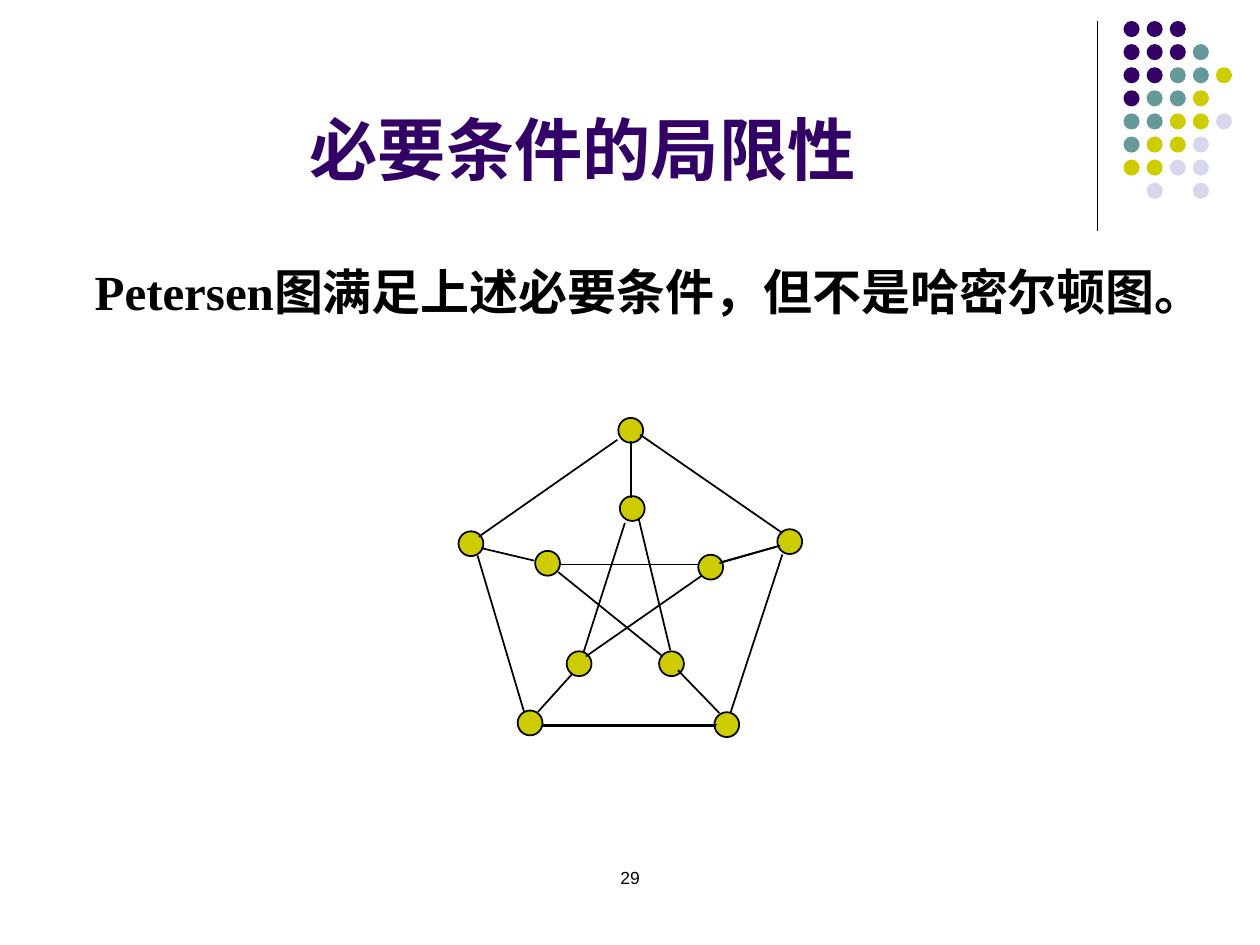
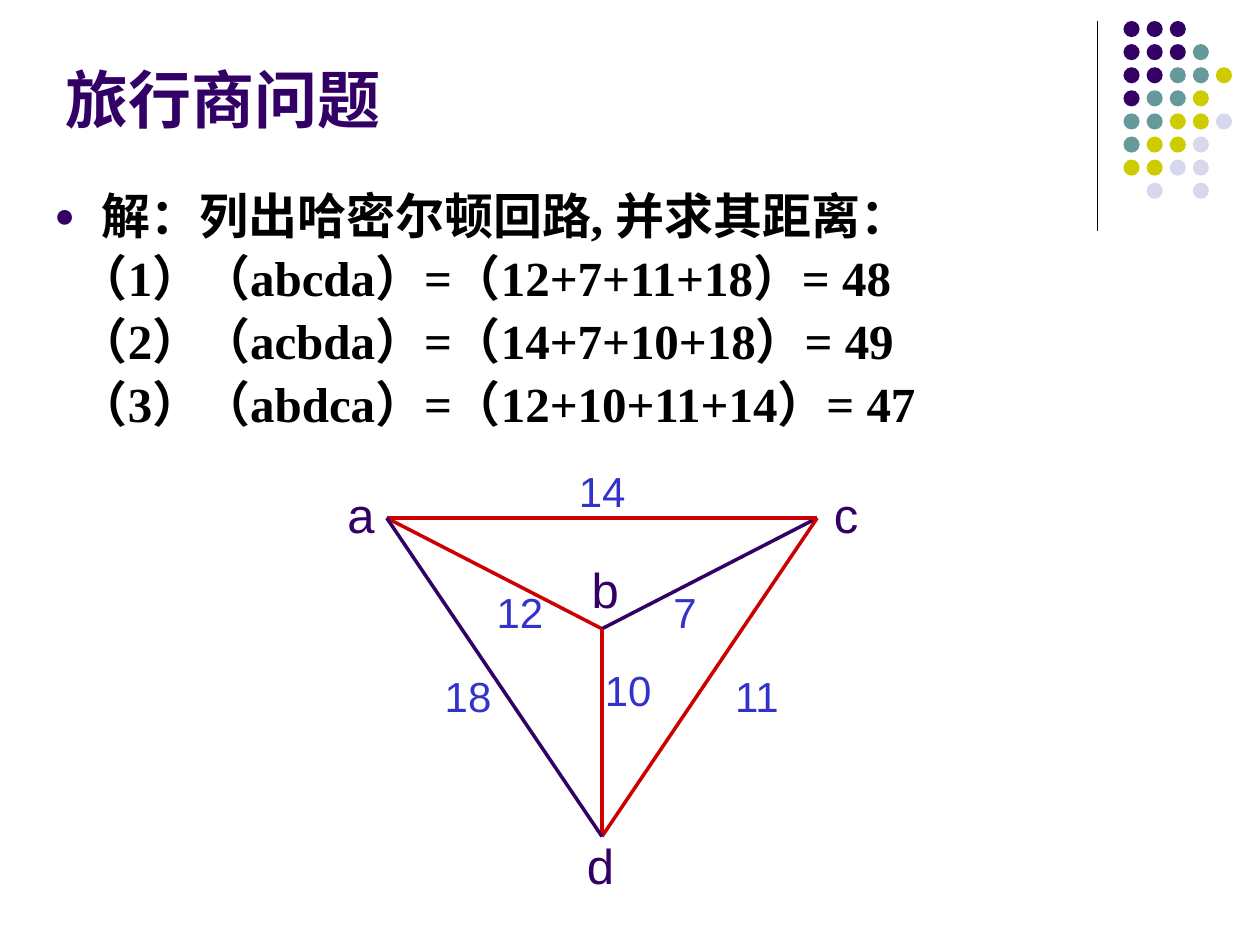
"""Build two graph theory slides: the Petersen graph and the travelling salesman problem."""
import lxml.etree
import pptx
import pptx.dml.color
import pptx.enum.shapes
import pptx.enum.text
import pptx.oxml
import pptx.oxml.ns
import pptx.util

Pt = pptx.util.Pt
RGBColor = pptx.dml.color.RGBColor
MSO_SHAPE = pptx.enum.shapes.MSO_SHAPE
ALIGN = pptx.enum.text.PP_ALIGN
ANCHOR = pptx.enum.text.MSO_ANCHOR
qn = pptx.oxml.ns.qn

COLORS = {
    "purple": "330066",
    "teal": "669999",
    "olive": "CCCC00",
    "lavender": "D8D8EC",
    "black": "000000",
    "red": "CC0000",
    "blue": "3333CC",
}


def add_line(slide, begin, end, color, width):
    line = slide.shapes.add_connector(
        pptx.enum.shapes.MSO_CONNECTOR.STRAIGHT,
        Pt(begin[0]), Pt(begin[1]), Pt(end[0]), Pt(end[1]),
    )
    line.line.color.rgb = RGBColor.from_string(COLORS[color])
    line.line.width = Pt(width)
    lxml.etree.SubElement(line.element.spPr, qn("a:effectLst"))
    return line


def format_text(text_frame, font, size, color, bold=False, align=None):
    text_frame.word_wrap = True
    text_frame.auto_size = pptx.enum.text.MSO_AUTO_SIZE.NONE
    for paragraph in text_frame.paragraphs:
        paragraph.alignment = align
        for run in paragraph.runs:
            run.font.name = font
            run.font.size = Pt(size)
            run.font.bold = bold
            run.font.color.rgb = RGBColor.from_string(COLORS[color])


presentation = pptx.Presentation()
presentation.slide_width, presentation.slide_height = Pt(720), Pt(540)
layout = presentation.slide_layouts[5]
for placeholder in list(layout.placeholders):
    if placeholder.placeholder_format.idx >= 10:
        layout.shapes.element.remove(placeholder.element)

petersen_slide = presentation.slides.add_slide(layout)
salesman_slide = presentation.slides.add_slide(layout)

DOT_COLORS = {"P": "purple", "T": "teal", "Y": "olive", "L": "lavender"}
DOT_ROWS = ["PPP", "PPPT", "PPTTY", "PTTY", "TTYYL", "TYYL", "YYLL", " L L"]
decorations = [add_line(petersen_slide, (627, 12), (627, 132), "black", 0.75)]
for row, letters in enumerate(DOT_ROWS):
    for column, letter in enumerate(letters):
        if letter == " ":
            continue
        dot = petersen_slide.shapes.add_shape(
            MSO_SHAPE.OVAL, Pt(642 + 13.2 * column), Pt(12 + 13.2 * row), Pt(9.2), Pt(9.2)
        )
        dot.shadow.inherit = False
        dot.fill.solid()
        dot.fill.fore_color.rgb = RGBColor.from_string(COLORS[DOT_COLORS[letter]])
        dot.line.fill.background()
        decorations.append(dot)
for decoration in decorations:
    layout.shapes.element.append(decoration.element)

TITLES = [
    (petersen_slide, "必要条件的局限性", (36, 9.5, 594, 102), 39, ALIGN.CENTER),
    (salesman_slide, "旅行商问题", (30, 36, 648, 45.5), 36, ALIGN.LEFT),
]
for slide, text, box, size, align in TITLES:
    title = slide.shapes.title
    title.left, title.top, title.width, title.height = map(Pt, box)
    title.text_frame.text = text
    title.text_frame.vertical_anchor = ANCHOR.BOTTOM
    format_text(title.text_frame, "Arial", size, "purple", True, align)

statement = petersen_slide.shapes.add_textbox(Pt(20), Pt(146), Pt(686), Pt(58))
statement.text_frame.text = "Petersen图满足上述必要条件，但不是哈密尔顿图。"
format_text(statement.text_frame, "Times New Roman", 28, "black", True)
paragraph = statement.text_frame.paragraphs[0]
paragraph.space_before = Pt(5.6)
paragraph._p.get_or_add_pPr().set("marL", str(Pt(27)))

NODE_SIZE = 14.2
NODE_POSITIONS = [
    (353.3, 238.8), (444.2, 302.4), (262, 303.6), (295.8, 406), (408.2, 407),
    (354.2, 283.5), (305.8, 314.8), (323.8, 372.2), (376.6, 372.2), (399, 317),
]
for left, top in NODE_POSITIONS:
    node = petersen_slide.shapes.add_shape(
        MSO_SHAPE.OVAL, Pt(left), Pt(top), Pt(NODE_SIZE), Pt(NODE_SIZE)
    )
    node.shadow.inherit = False
    node.fill.solid()
    node.fill.fore_color.rgb = RGBColor.from_string(COLORS["olive"])
    node.line.color.rgb = RGBColor.from_string(COLORS["black"])
    node.line.width = Pt(1)

OUTER_EDGES = [
    ((273.6, 306.7), (352.8, 251.3)),
    ((365.8, 248.4), (447.1, 304.6)),
    ((272.9, 317.5), (299.5, 406.8)),
    ((309.6, 414.7), (409, 414.7)),
    ((310.3, 414), (409.7, 414)),
    ((447.1, 316.8), (417.6, 406.8)),
]
STAR_EDGES = [
    ((319.7, 322.6), (398.9, 322.6)),
    ((357.1, 298.8), (333.4, 373)),
    ((365, 296.6), (383, 371.5)),
    ((334.8, 375.1), (401, 329)),
    ((319, 326.9), (378.7, 375.1)),
]
SPOKES = [
    ((360.7, 252), (360.7, 284.4)),
    ((275, 313.2), (305.3, 320.4)),
    ((411.1, 321.8), (443.5, 312.5)),
    ((412.6, 321.1), (445.7, 311.8)),
    ((326.9, 385.2), (307.4, 406.8)),
    ((387.4, 383), (411.1, 407.5)),
]
for begin, end in OUTER_EDGES + STAR_EDGES + SPOKES:
    add_line(petersen_slide, begin, end, "black", 1)

page_number = petersen_slide.shapes.add_textbox(Pt(276), Pt(492), Pt(168), Pt(36))
page_number.text_frame.text = "29"
format_text(page_number.text_frame, "Arial", 10, "black", align=ALIGN.CENTER)

solution = salesman_slide.shapes.add_textbox(Pt(24), Pt(96), Pt(684), Pt(162))
solution.text_frame.text = "\n".join([
    "解：列出哈密尔顿回路, 并求其距离：",
    "（1）（abcda）=（12+7+11+18）= 48",
    "（2）（acbda）=（14+7+10+18）= 49",
    "（3）（abdca）=（12+10+11+14）= 47",
])
format_text(solution.text_frame, "Times New Roman", 28, "black", True, ALIGN.JUSTIFY)
heading, *circuits = solution.text_frame.paragraphs
heading.alignment = ALIGN.LEFT
heading.line_spacing = 1.2
heading.space_before = Pt(5.6)
heading_properties = heading._p.get_or_add_pPr()
heading_properties.set("marL", str(Pt(27)))
heading_properties.set("indent", str(Pt(-27)))
bullet_color = lxml.etree.SubElement(heading_properties, qn("a:buClr"))
lxml.etree.SubElement(bullet_color, qn("a:srgbClr"), val=COLORS["purple"])
lxml.etree.SubElement(heading_properties, qn("a:buSzPct"), val="70000")
lxml.etree.SubElement(heading_properties, qn("a:buFont"), typeface="Arial")
lxml.etree.SubElement(heading_properties, qn("a:buChar"), char="●")
for paragraph in circuits:
    paragraph.line_spacing = 0.9
    paragraph.space_before = Pt(5.6)
    paragraph._p.get_or_add_pPr().set("marL", str(Pt(14)))

CITIES = {"a": (221, 296), "b": (344, 359.3), "c": (467, 296), "d": (344, 478)}
ROADS = [
    ("ab", "red"), ("bc", "purple"), ("db", "red"),
    ("ac", "red"), ("dc", "red"), ("da", "purple"),
]
for (start, finish), color in ROADS:
    add_line(salesman_slide, CITIES[start], CITIES[finish], color, 2)

CITY_LABELS = [("a", 185.8, 277.2), ("b", 325.4, 320.4), ("c", 463, 277.2), ("d", 322.6, 478)]
DISTANCE_LABELS = [
    ("18", 244, 381.6), ("14", 320.6, 264.2), ("11", 409, 381.6),
    ("10", 335.5, 378), ("12", 273.6, 333.2), ("7", 367.9, 333.4),
]
LABEL_STYLES = [(CITY_LABELS, 41, 28, "purple"), (DISTANCE_LABELS, 47, 24, "blue")]
for labels, width, size, color in LABEL_STYLES:
    for text, left, top in labels:
        label = salesman_slide.shapes.add_shape(
            MSO_SHAPE.RECTANGULAR_CALLOUT, Pt(left), Pt(top), Pt(width), Pt(32.4)
        )
        label.shadow.inherit = False
        label.fill.background()
        label.line.fill.background()
        label.text_frame.text = text
        label.text_frame.vertical_anchor = ANCHOR.MIDDLE
        format_text(label.text_frame, "Arial", size, color, align=ALIGN.CENTER)

presentation.save("out.pptx")
